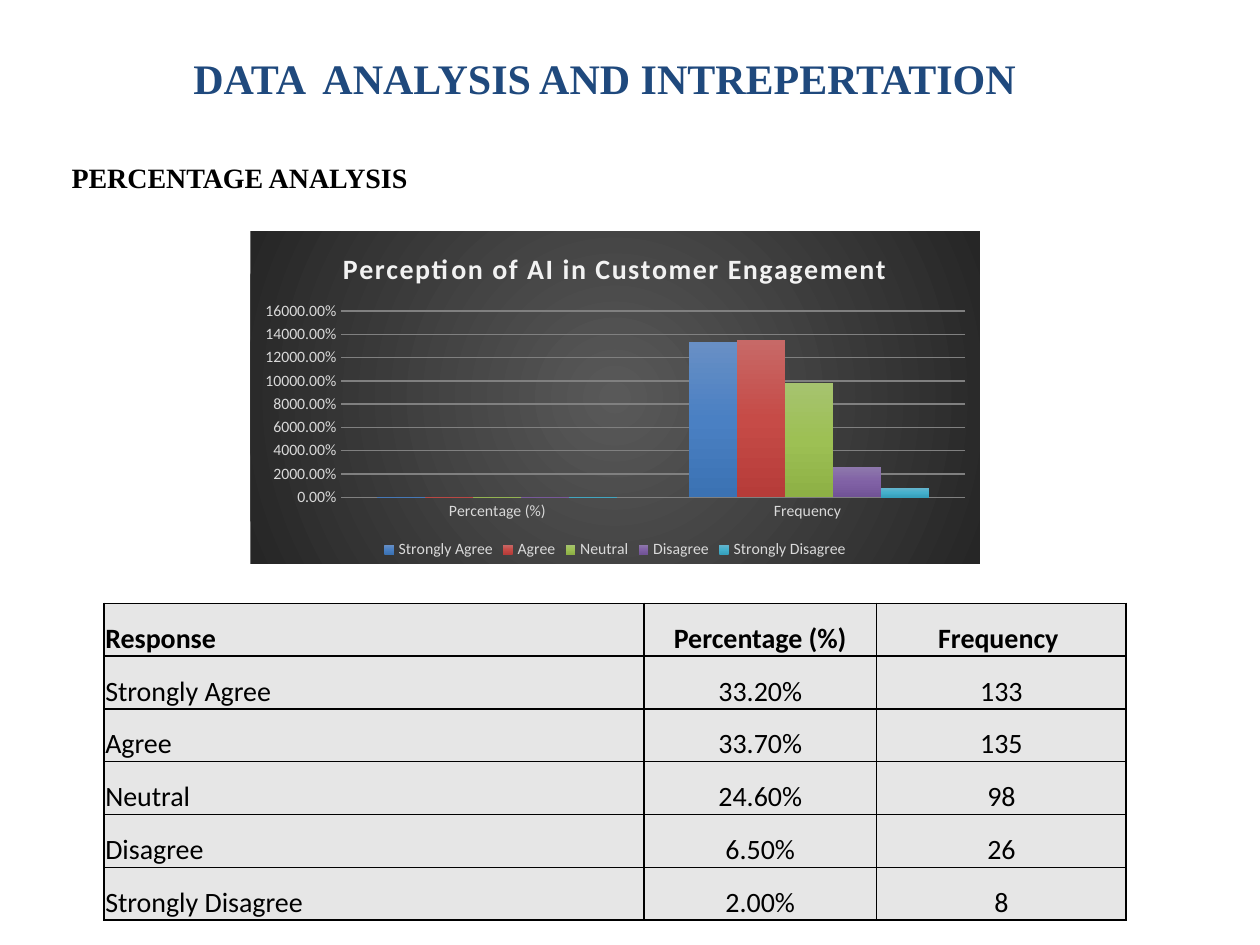
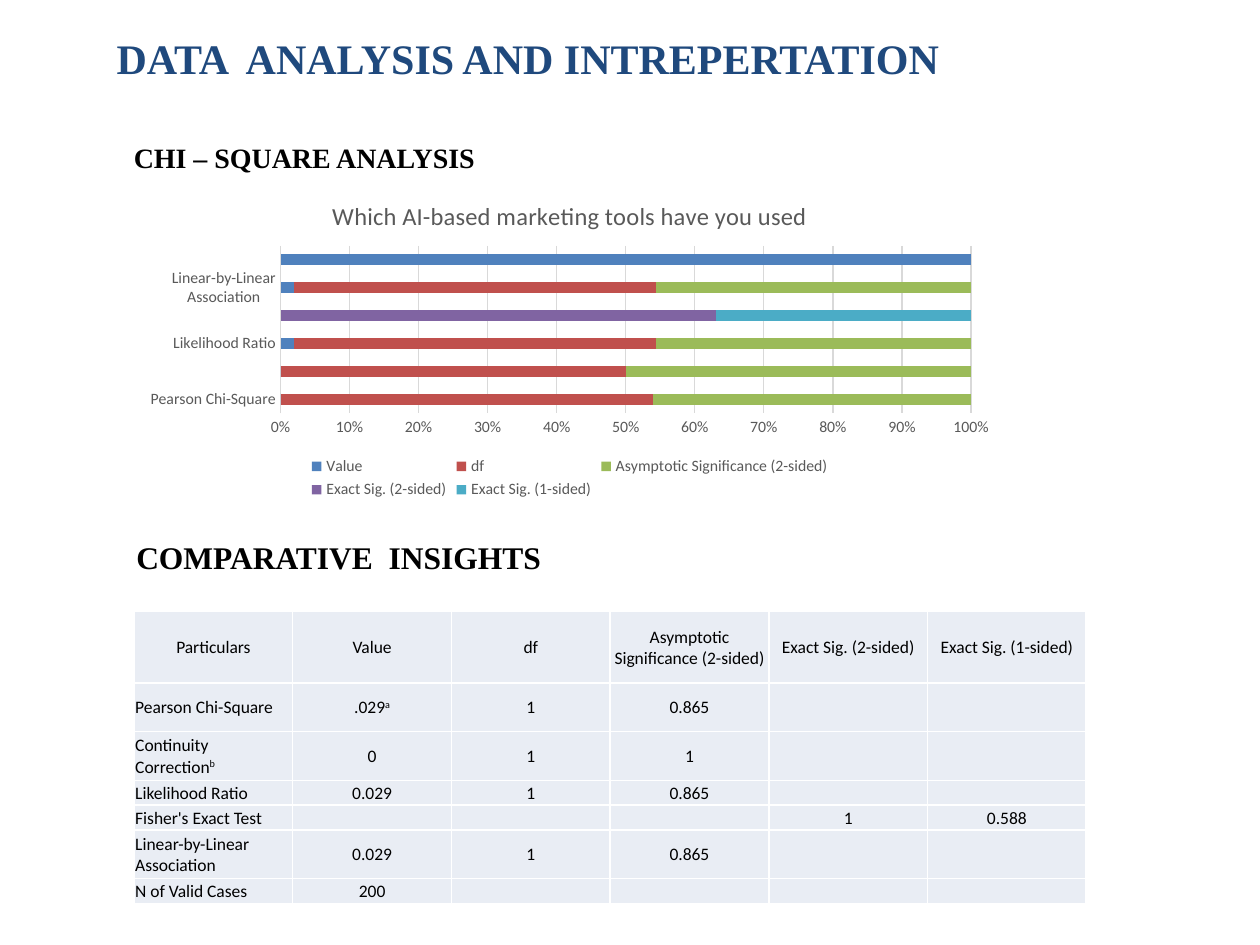
"""Build two survey analysis slides, each with a chart above its table."""
from pptx import Presentation
from pptx.chart.data import CategoryChartData
from pptx.dml.color import RGBColor
from pptx.enum.chart import XL_CHART_TYPE, XL_LEGEND_POSITION, XL_TICK_MARK
from pptx.enum.text import MSO_ANCHOR, MSO_AUTO_SIZE, PP_ALIGN
from pptx.oxml import parse_xml
from pptx.oxml.ns import nsdecls, qn
from pptx.util import Pt

COLUMNS = XL_CHART_TYPE.COLUMN_CLUSTERED
STACKED_BARS = XL_CHART_TYPE.BAR_STACKED_100
BOTTOM = XL_LEGEND_POSITION.BOTTOM
NO_TICK = XL_TICK_MARK.NONE
MIDDLE = MSO_ANCHOR.MIDDLE
GROW = MSO_AUTO_SIZE.SHAPE_TO_FIT_TEXT
LEFT, CENTER = PP_ALIGN.LEFT, PP_ALIGN.CENTER

COLORS = {
    "title": "1F497D", "black": "000000", "white": "FFFFFF",
    "grey_cell": "E6E6E6", "blue_cell": "E9EDF4",
    "dark_label": "595959", "light_label": "D9D9D9",
    "dark_grid": "808080", "light_title": "F2F2F2",
}
SERIES_COLORS = ["4F81BD", "C0504D", "9BBB59", "8064A2", "4BACC6"]
SERIES_GRADIENTS = [
    ("688FC5", "4A80C3", "3B72B3"),
    ("C76967", "C64B47", "B63C39"),
    ("A6C36F", "9DC054", "8DB045"),
    ("8E78AC", "8061A5", "715396"),
    ("66B5CD", "45B0CC", "36A0BC"),
]
BACKDROP = ("595959", "262626")
DOWNWARD = '<a:lin ang="5400000" scaled="0"/>'
RADIAL = ('<a:path path="circle"><a:fillToRect l="50000" t="50000" '
          'r="50000" b="50000"/></a:path>')
HEADING = "DATA  ANALYSIS AND INTREPERTATION"

RESPONSE_HEADER = ["Response", "Percentage (%)", "Frequency "]
RESPONSES = [
    ("Strongly Agree", 0.332, 133),
    ("Agree", 0.337, 135),
    ("Neutral", 0.246, 98),
    ("Disagree", 0.065, 26),
    ("Strongly Disagree", 0.02, 8),
]
TEST_HEADER = ["Particulars", "Value", "df", "Asymptotic Significance (2-sided)",
               "Exact Sig. (2-sided)", "Exact Sig. (1-sided)"]
TESTS = [
    ["Pearson Chi-Square", ".029^a", "1", "0.865", "", ""],
    ["Continuity Correction^b", "0", "1", "1", "", ""],
    ["Likelihood Ratio", "0.029", "1", "0.865", "", ""],
    ["Fisher's Exact Test", "", "", "", "1", "0.588"],
    ["Linear-by-Linear Association", "0.029", "1", "0.865", "", ""],
    ["N of Valid Cases", "200", "", "", "", ""],
]


def assign(target, values):
    for name, value in values.items():
        setattr(target, name, value)


def rgb(color):
    return RGBColor.from_string(COLORS.get(color, color))


def style_font(font, color, size, name="Calibri", bold=False):
    assign(font, {"name": name, "size": Pt(size), "bold": bold})
    font.color.rgb = rgb(color)


def gradient(stops, direction):
    last = len(stops) - 1
    marks = "".join(
        f'<a:gs pos="{100000 * i // last}"><a:srgbClr val="{stop}"/></a:gs>'
        for i, stop in enumerate(stops))
    return f"<a:gradFill><a:gsLst>{marks}</a:gsLst>{direction}</a:gradFill>"


def percent_shares(cells):
    numbers = [None if not cell else 0 if "^" in cell else float(cell)
               for cell in cells]
    total = sum(number or 0 for number in numbers)
    return [None if number is None else round(100 * number / total)
            for number in numbers]


class Deck:
    def __init__(self):
        self.deck = Presentation()
        self.deck.slide_width, self.deck.slide_height = Pt(720), Pt(540)
        self.slide = None

    def add_slide(self):
        self.slide = self.deck.slides.add_slide(self.deck.slide_layouts[6])

    def text(self, wording, box, size=16, color="black", align=LEFT):
        frame = self.slide.shapes.add_textbox(*map(Pt, box)).text_frame
        assign(frame, {"word_wrap": True, "auto_size": GROW})
        line = frame.paragraphs[0]
        line.alignment = align
        run = line.add_run()
        run.text = wording
        style_font(run.font, color, size, "Times New Roman", True)

    def title(self, wording, box, align=LEFT):
        self.text(wording, box, 24, "title", align)

    def chart(self, kind, box, title, categories, series, label, grid, number_format):
        data = CategoryChartData()
        data.categories = categories
        for name, values in series:
            data.add_series(name, values)
        chart = self.slide.shapes.add_chart(kind, *map(Pt, box), data).chart
        style_font(chart.font, "black", 10)
        assign(chart, {"has_title": True, "has_legend": True})
        heading = chart.chart_title.text_frame.paragraphs[0].add_run()
        heading.text = title
        assign(chart.legend, {"position": BOTTOM, "include_in_layout": False})
        style_font(chart.legend.font, label, 9)
        assign(chart.plots[0], {"gap_width": 150, "vary_by_categories": False})
        for axis in (chart.category_axis, chart.value_axis):
            assign(axis, {"major_tick_mark": NO_TICK, "minor_tick_mark": NO_TICK})
            style_font(axis.tick_labels.font, label, 9)
            axis.format.line.fill.background()
            body = axis._element.find(f'{qn("c:txPr")}/{qn("a:bodyPr")}')
            body.set("rot", "-60000000")
            body.set("vert", "horz")
        chart.value_axis.has_major_gridlines = True
        line = chart.value_axis.major_gridlines.format.line
        line.color.rgb, line.width = rgb(grid), Pt(0.75)
        assign(chart.value_axis.tick_labels,
               {"number_format": number_format, "number_format_is_linked": False})
        return chart, heading.font

    def place_plot(self, chart, plot_box):
        area = chart._chartSpace.find(".//" + qn("c:plotArea"))
        for layout in area.findall(qn("c:layout")):
            area.remove(layout)
        sizes = "".join(f'<c:{side} val="{share}"/>'
                        for side, share in zip("xywh", plot_box))
        area.insert(0, parse_xml(
            f'<c:layout {nsdecls("c")}><c:manualLayout><c:layoutTarget val="inner"/>'
            f'<c:xMode val="edge"/><c:yMode val="edge"/>{sizes}'
            '</c:manualLayout></c:layout>'))

    def gradient_chart(self, chart):
        def properties(stops, direction):
            return parse_xml(f'<c:spPr {nsdecls("c", "a")}>{gradient(stops, direction)}'
                             '<a:ln><a:noFill/></a:ln></c:spPr>')

        space = chart._chartSpace
        space.find(qn("c:chart")).addnext(properties(BACKDROP, RADIAL))
        for bar, stops in zip(chart.plots[0].series, SERIES_GRADIENTS):
            bar.format.fill.solid()
            old = bar._element.find(qn("c:spPr"))
            old.getparent().replace(old, properties(stops, DOWNWARD))

    def table(self, rows, origin, widths, heights, fill, border, size,
              spacing=None, bold_header=False, bottom=0.7):
        grid = self.slide.shapes.add_table(
            len(rows), len(widths), *map(Pt, origin),
            Pt(sum(widths)), Pt(sum(heights))).table
        assign(grid, {"first_row": False, "horz_banding": False})
        for column, width in zip(grid.columns, widths):
            column.width = Pt(width)
        for r, (row, height) in enumerate(zip(rows, heights)):
            grid.rows[r].height = Pt(height)
            for c, wording in enumerate(row):
                cell = grid.cell(r, c)
                self.frame_cell(cell, fill, border, bottom)
                line = cell.text_frame.paragraphs[0]
                centered = c > 0 or (r == 0 and not bold_header)
                line.alignment = CENTER if centered else LEFT
                assign(line, spacing or {})
                self.fill_line(line, wording, size, bold_header and r == 0)

    def frame_cell(self, cell, fill, border, bottom):
        assign(cell, {"margin_left": Pt(0.7), "margin_right": Pt(0.7),
                      "margin_top": Pt(0.7), "margin_bottom": Pt(bottom),
                      "vertical_anchor": MIDDLE})
        for side in "LRTB":
            cell._tc.get_or_add_tcPr().append(parse_xml(
                f'<a:ln{side} {nsdecls("a")} w="12700"><a:solidFill>'
                f'<a:srgbClr val="{COLORS[border]}"/></a:solidFill></a:ln{side}>'))
        cell.fill.solid()
        cell.fill.fore_color.rgb = rgb(fill)

    def fill_line(self, line, wording, size, bold):
        if not wording:
            line._p.get_or_add_endParaRPr().set("sz", str(size * 100))
            return
        for i, part in enumerate(wording.split("^")):
            run = line.add_run()
            run.text = part
            style_font(run.font, "black", size, bold=bold)
            if i:
                run.font._element.set("baseline", "30000")


def percentage_slide(deck):
    deck.add_slide()
    deck.title(HEADING + " ", (36.7, 26.2, 623.5, 36), CENTER)
    chart, heading = deck.chart(
        COLUMNS, (143, 132.2, 416.9, 190),
        "Perception of AI in Customer Engagement", RESPONSE_HEADER[1:],
        [(name, (round(share), count)) for name, share, count in RESPONSES],
        "light_label", "dark_grid", "0.00%")
    style_font(heading, "light_title", 16, bold=True)
    heading._element.set("spc", "100")
    deck.place_plot(chart, (0.125, 0.24, 0.855, 0.56))
    deck.gradient_chart(chart)
    rows = [RESPONSE_HEADER] + [(name, f"{share:.2%}", str(count))
                                for name, share, count in RESPONSES]
    deck.table(rows, (59.5, 344.8), (308.4, 133.1, 142.6), [26.6] * len(rows),
               "grey_cell", "black", 16,
               {"line_spacing": 1.5, "space_after": Pt(8)}, True)
    deck.text("PERCENTAGE ANALYSIS ", (25.5, 88.1, 226.8, 26.6), align=CENTER)


def chi_square_slide(deck):
    deck.add_slide()
    deck.title(HEADING, (59.5, 15.1, 583.9, 36))
    deck.text("COMPARATIVE  INSIGHTS", (70.8, 303.8, 249.1, 28.8), 18)
    names = [row[0].replace("^", "") for row in TESTS]
    columns = zip(*(percent_shares(row[1:]) for row in TESTS))
    chart, heading = deck.chart(
        STACKED_BARS, (76, 103.7, 499, 184.3),
        "Which AI-based marketing tools have you used",
        names, zip(TEST_HEADER[1:], columns),
        "dark_label", "light_label", "0%")
    style_font(heading, "dark_label", 14)
    axis_line = chart.category_axis.format.line
    axis_line.color.rgb, axis_line.width = rgb("light_label"), Pt(0.75)
    for bar, color in zip(chart.plots[0].series, SERIES_COLORS):
        bar.format.fill.solid()
        bar.format.fill.fore_color.rgb = rgb(color)
    deck.table([TEST_HEADER] + TESTS, (76.6, 349.3), [90.7] * len(TEST_HEADER),
               (41, 27.8, 27.8, 14.2, 14.2, 27.8, 14.2),
               "blue_cell", "white", 10, bottom=0)
    deck.text("CHI – SQUARE ANALYSIS ", (48.5, 77, 254.9, 26.6), align=CENTER)


def main():
    deck = Deck()
    percentage_slide(deck)
    chi_square_slide(deck)
    deck.deck.save("out.pptx")


if __name__ == "__main__":
    main()
